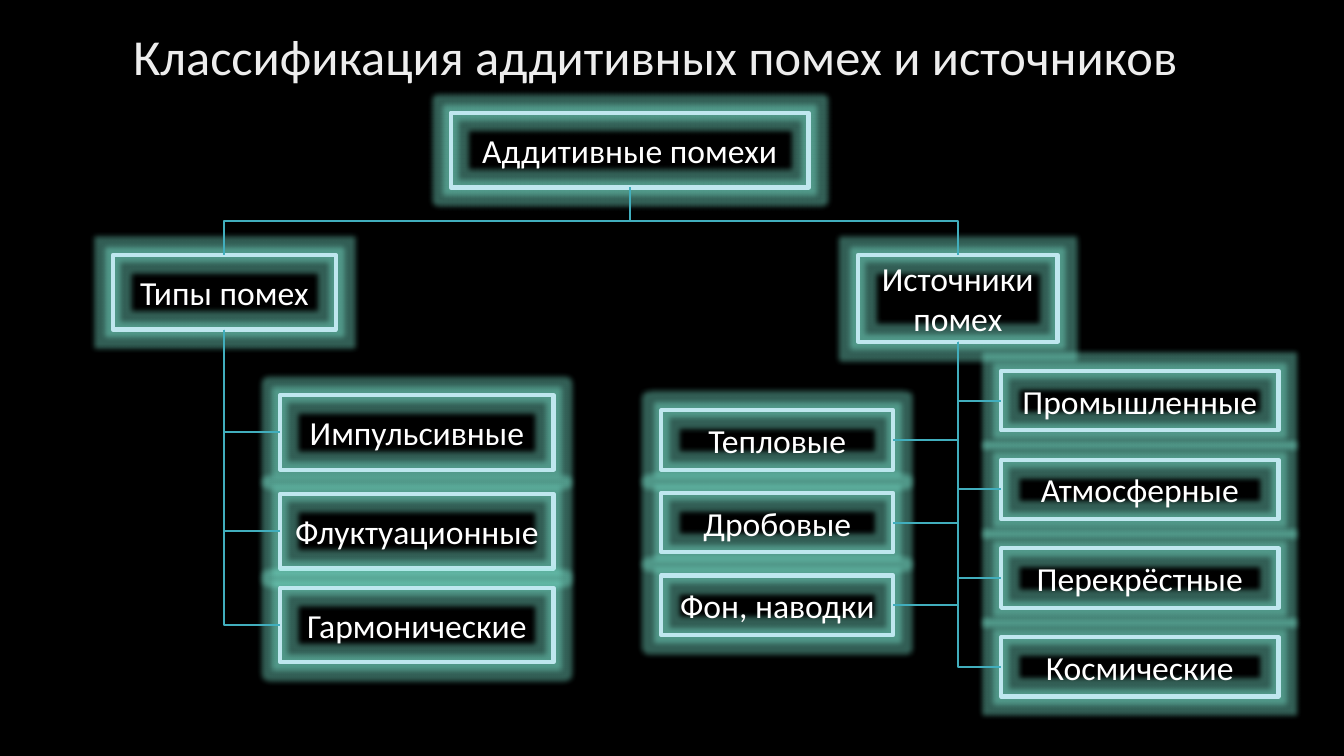
import pptx
import pptx.dml.color
import pptx.enum.shapes
import pptx.enum.text
import pptx.oxml
import pptx.oxml.ns
import pptx.util
from pptx.util import Inches

TOP, LEFT, BOTTOM, RIGHT = range(4)  # connection sites of a rectangle
NS = pptx.oxml.ns.nsdecls("a")


def color(hex_value):
    return pptx.dml.color.RGBColor.from_string(hex_value)


class Diagram:
    """Style of the classification tree and the slide it is drawn on."""

    font = "Calibri"
    text = "FFFFFF"
    border = "BFE7EF"
    glow = "80F0D8"
    branch = "41AEBD"
    title_stops = ((0, "BFBFBF"), (28, "EDEDED"), (100, "FFFFFF"))

    def __init__(self, presentation, background):
        self.slide = presentation.slides.add_slide(presentation.slide_layouts[5])
        self.slide.background.fill.solid()
        self.slide.background.fill.fore_color.rgb = color(background)

    def set_words(self, shape, words, size, align, anchor):
        frame = shape.text_frame
        frame.text = words
        frame.word_wrap = True
        frame.auto_size = pptx.enum.text.MSO_AUTO_SIZE.NONE
        frame.vertical_anchor = anchor
        paragraph = frame.paragraphs[0]
        paragraph.alignment = align
        run = paragraph.runs[0]
        run.font.name = self.font
        run.font.size = pptx.util.Pt(size)
        run.font.color.rgb = color(self.text)
        return paragraph

    def title(self, words, left, top, width, height):
        heading = self.slide.shapes.title
        heading.left, heading.top = Inches(left), Inches(top)
        heading.width, heading.height = Inches(width), Inches(height)
        paragraph = self.set_words(heading, words, 36,
                                   pptx.enum.text.PP_ALIGN.LEFT,
                                   pptx.enum.text.MSO_ANCHOR.BOTTOM)
        paragraph.line_spacing = 0.9
        font = paragraph.runs[0].font
        font.fill.background()
        properties = paragraph.runs[0]._r.get_or_add_rPr()
        stops = "".join(
            f'<a:gs pos="{position * 1000}"><a:srgbClr val="{shade}"/></a:gs>'
            for position, shade in self.title_stops)
        gradient = pptx.oxml.parse_xml(
            f'<a:gradFill {NS}><a:gsLst>{stops}</a:gsLst>'
            '<a:lin ang="4800000" scaled="0"/></a:gradFill>')
        properties.replace(properties.find(pptx.oxml.ns.qn("a:noFill")), gradient)

    def box(self, words, left, top, width, height):
        """Add a glowing outlined rectangle with centred text."""
        node = self.slide.shapes.add_shape(
            pptx.enum.shapes.MSO_SHAPE.RECTANGLE,
            Inches(left), Inches(top), Inches(width), Inches(height))
        node.fill.background()
        node.line.color.rgb = color(self.border)
        node.line.width = pptx.util.Pt(3)
        node.shadow.inherit = False
        effects = node._element.spPr.find(pptx.oxml.ns.qn("a:effectLst"))
        effects.append(pptx.oxml.parse_xml(
            f'<a:glow {NS} rad="101600"><a:srgbClr val="{self.glow}">'
            '<a:alpha val="40000"/></a:srgbClr></a:glow>'))
        self.set_words(node, words, 24, pptx.enum.text.PP_ALIGN.CENTER,
                       pptx.enum.text.MSO_ANCHOR.MIDDLE)
        return node

    def column(self, names, left, tops, width, height):
        return [self.box(name, left, top, width, height)
                for name, top in zip(names, tops)]

    def connect(self, parent, child, side):
        """Run an elbow line down from the parent to one side of the child."""
        link = self.slide.shapes.add_connector(
            pptx.enum.shapes.MSO_CONNECTOR.ELBOW, 0, 0, 0, 0)
        link.begin_connect(parent, BOTTOM)
        link.end_connect(child, side)
        run = link.end_x - link.begin_x
        drop = link.end_y - link.begin_y
        center_x = (link.begin_x + link.end_x) // 2
        center_y = (link.begin_y + link.end_y) // 2

        # A quarter turn makes the elbow leave the parent vertically.
        link.width, link.height = drop, abs(run)
        link.left, link.top = center_x - drop // 2, center_y - abs(run) // 2
        properties = link._element.spPr
        frame = properties.find(pptx.oxml.ns.qn("a:xfrm"))
        frame.set("rot", str((90 if run < 0 else 270) * 60000))
        frame.set("flipH", "0" if run < 0 else "1")
        frame.set("flipV", "0")
        if side != TOP:
            properties.find(pptx.oxml.ns.qn("a:prstGeom")).set(
                "prst", "bentConnector2")
        link.line.color.rgb = color(self.branch)
        link.line.width = pptx.util.Pt(1.5)
        properties.append(pptx.oxml.parse_xml(f"<a:effectLst {NS}/>"))


def main():
    presentation = pptx.Presentation()
    presentation.slide_width = Inches(13.33)
    presentation.slide_height = Inches(7.5)
    diagram = Diagram(presentation, "000000")

    diagram.title("Классификация аддитивных помех и источников",
                  1.22, 0.29, 10.82, 0.62)
    noise = diagram.box("Аддитивные помехи", 4.47, 1.12, 3.55, 0.74)
    kinds = diagram.box("Типы помех", 1.12, 2.53, 2.21, 0.74)
    sources = diagram.box("Источники помех", 8.51, 2.53, 1.98, 0.86)

    kind_list = diagram.column(
        ("Импульсивные", "Флуктуационные", "Гармонические"),
        2.78, (3.92, 4.9, 5.83), 2.71, 0.74)
    internal = diagram.column(
        ("Тепловые", "Дробовые", "Фон, наводки"),
        6.56, [4.07 + 0.82 * row for row in range(3)], 2.3, 0.59)
    external = diagram.column(
        ("Промышленные", "Атмосферные", "Перекрёстные", "Космические"),
        9.93, [3.68 + 0.88 * row for row in range(4)], 2.75, 0.59)

    for parent, children, side in (
            (noise, (kinds, sources), TOP),
            (kinds, kind_list, LEFT),
            (sources, internal, RIGHT),
            (sources, external, LEFT)):
        for child in children:
            diagram.connect(parent, child, side)

    presentation.save("out.pptx")


if __name__ == "__main__":
    main()
